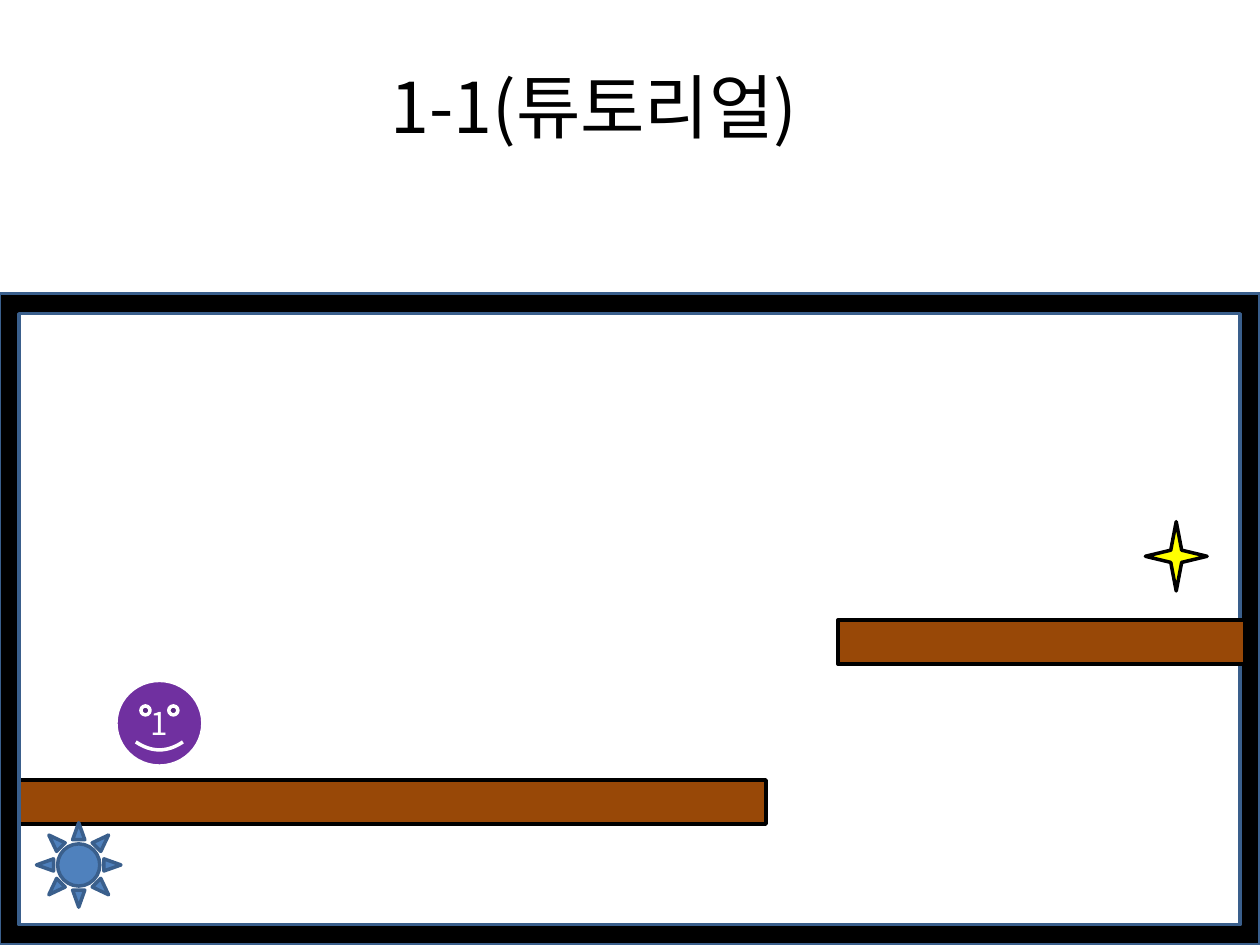
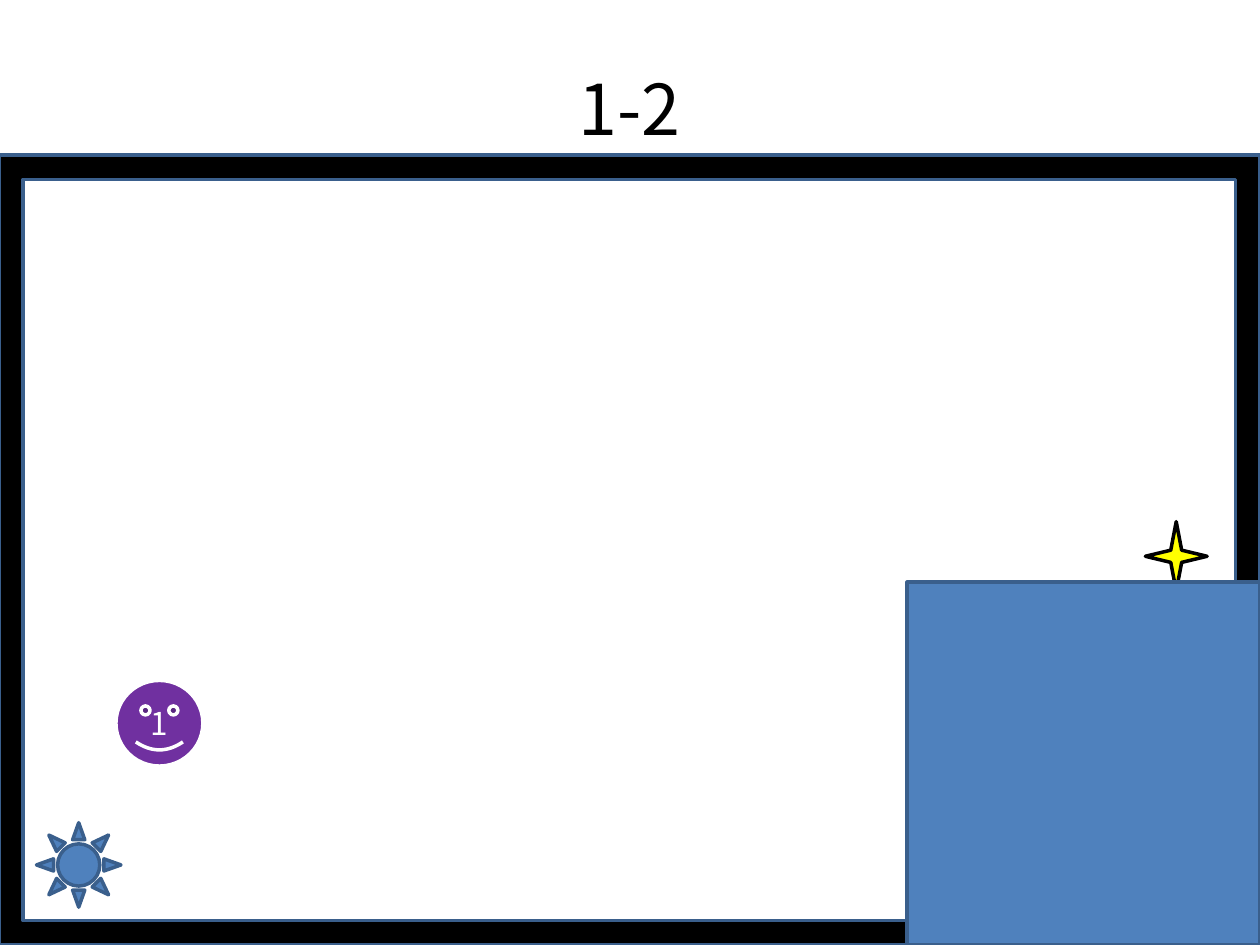
from lxml import etree
from pptx import Presentation
from pptx.dml.color import RGBColor
from pptx.enum.shapes import MSO_SHAPE
from pptx.enum.text import MSO_ANCHOR, MSO_AUTO_SIZE, PP_ALIGN
from pptx.oxml.ns import qn
from pptx.util import Inches, Pt

RECT = MSO_SHAPE.RECTANGLE
FRAME = MSO_SHAPE.FRAME
STAR = MSO_SHAPE.STAR_4_POINT
SMILEY = MSO_SHAPE.SMILEY_FACE
SUN = MSO_SHAPE.SUN
CENTER = PP_ALIGN.CENTER
MIDDLE = MSO_ANCHOR.MIDDLE
NO_FIT = MSO_AUTO_SIZE.NONE

FONT = "Noto Sans CJK KR"
COLORS = {
    "black": "000000",
    "white": "FFFFFF",
    "brown": "984807",
    "yellow": "FFFF00",
    "purple": "7030A0",
    "blue": "4F81BD",
    "edge": "3A5F8C",
}


def write(shape, text, size, color):
    frame = shape.text_frame
    frame.text = text
    frame.word_wrap = True
    frame.auto_size = NO_FIT
    frame.vertical_anchor = MIDDLE
    para = frame.paragraphs[0]
    para.alignment = CENTER
    para.font.size = Pt(size)
    para.font.name = FONT
    para.font.color.rgb = RGBColor.from_string(COLORS[color])
    props = para._p.pPr.find(qn("a:defRPr"))
    etree.SubElement(props, qn("a:ea"), typeface=FONT)


def draw(slide, kind, box, fill, line):
    shape = slide.shapes.add_shape(kind, *[Inches(v) for v in box])
    shape.shadow.inherit = False
    shape.fill.solid()
    shape.fill.fore_color.rgb = RGBColor.from_string(COLORS[fill])
    shape.line.color.rgb = RGBColor.from_string(COLORS[line])
    shape.line.width = Pt(2)
    return shape


deck = Presentation()
deck.slide_width = Inches(10)
deck.slide_height = Inches(7.5)

levels = [
    {
        "title": "1-1(튜토리얼)",
        "box": (0.73, 0.29, 7.97, 1.1),
        "top": 2.33,
        "back": [((0.12, 6.19, 5.96, 0.35), "brown", "black")],
        "front": [((6.65, 4.92, 3.23, 0.35), "brown", "black")],
    },
    {
        "title": "1-2",
        "box": (-0.01, 0, 10.01, 1.7),
        "top": 1.23,
        "back": [],
        "front": [((7.2, 4.62, 2.8, 2.88), "blue", "edge")],
    },
]

for level in levels:
    slide = deck.slides.add_slide(deck.slide_layouts[5])
    title = slide.shapes.title
    title.left, title.top, title.width, title.height = [
        Inches(v) for v in level["box"]
    ]
    write(title, level["title"], 40, "black")

    for box, fill, line in level["back"]:
        draw(slide, RECT, box, fill, line)

    top = level["top"]
    border = draw(slide, FRAME, (-0.01, top, 10.01, 7.5 - top), "black", "edge")
    border.adjustments[0] = 0.031
    draw(slide, STAR, (9.09, 4.14, 0.49, 0.55), "yellow", "black")
    player = draw(slide, SMILEY, (0.92, 5.4, 0.69, 0.68), "purple", "white")
    write(player, "1", 18, "white")
    draw(slide, SUN, (0.29, 6.53, 0.67, 0.67), "blue", "edge")

    for box, fill, line in level["front"]:
        draw(slide, RECT, box, fill, line)

deck.save("out.pptx")
